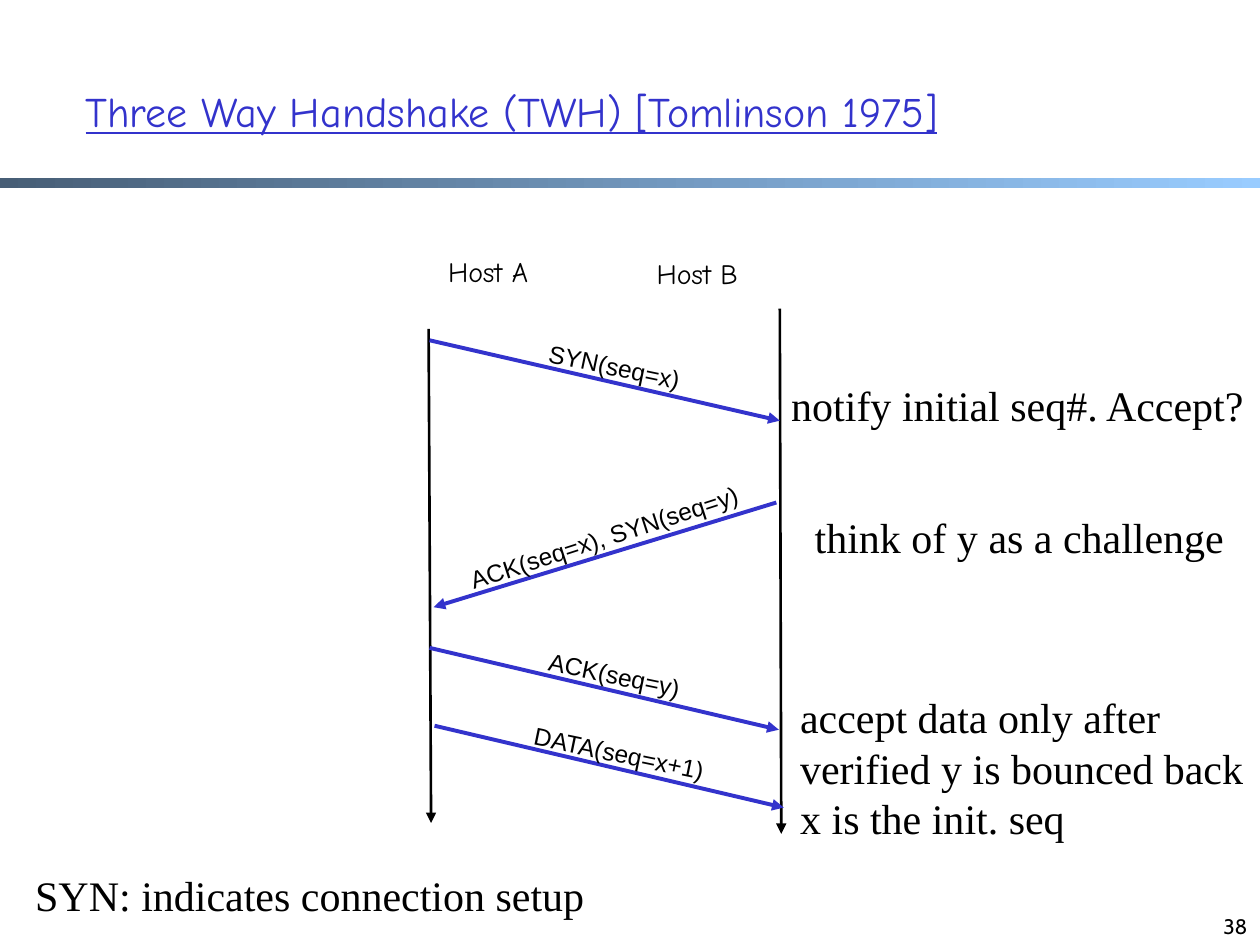
from lxml import etree
from pptx import Presentation
from pptx.dml.color import RGBColor
from pptx.enum import shapes, text
from pptx.oxml import ns
from pptx.util import Cm, Pt

COLORS = {"accent": "3333CC", "ink": "000000", "bar_start": "475E76", "bar_end": "99CCFF"}
SERIF, SANS, HAND = "Times New Roman", "Arial", "Comic Neue"
LEFT, CENTER, RIGHT = text.PP_ALIGN.LEFT, text.PP_ALIGN.CENTER, text.PP_ALIGN.RIGHT
TOP, MIDDLE, BOTTOM = text.MSO_ANCHOR.TOP, text.MSO_ANCHOR.MIDDLE, text.MSO_ANCHOR.BOTTOM

HOSTS = [
    ("Host A", (8.66, 5, 2.36, 0.94), (8.64, 6.63), (8.69, 16.59)),
    ("Host B", (12.9, 5.05, 2.31, 0.94), (15.72, 6.22), (15.75, 16.81)),
]
MESSAGES = [
    ("SYN(seq=x)", (8.66, 6.86), (15.72, 8.48), (10.8, 6.96, 3.18, 0.84), 11.8),
    ("ACK(seq=x), SYN(seq=y)", (15.65, 10.13), (8.74, 12.24), (8.38, 10.41, 7.59, 0.84), 342),
    ("ACK(seq=y)", (8.66, 13.06), (15.7, 14.71), (10.8, 13.18, 3.18, 0.84), 11.8),
    ("DATA(seq=x+1)", (8.76, 14.63), (15.8, 16.28), (10.46, 14.76, 4.04, 0.84), 11.8),
]
NOTES = [
    ("SYN: indicates connection setup", (0.46, 17.4, 11.58, 1.27), LEFT, False),
    ("accept data only after\nverified y is bounced back\nx is the init. seq",
     (15.88, 13.82, 9.53, 3.33), LEFT, False),
    ("notify initial seq#. Accept?", (15.7, 7.52, 9.7, 1.3), LEFT, False),
    ("think of y as a challenge", (15.7, 10.19, 9.7, 1.3), CENTER, True),
]


def color(name):
    """Return the named palette color."""
    return RGBColor.from_string(COLORS[name])


def place(shape, box):
    """Move and size a shape to a box in centimetres."""
    shape.left, shape.top, shape.width, shape.height = map(Cm, box)


def write(shape, words, *, font, size, ink="ink", align=LEFT, anchor=TOP, wrap=False, underline=None):
    """Fill a shape with formatted text, one paragraph per line."""
    frame = shape.text_frame
    frame.text = words
    frame.word_wrap = wrap
    frame.auto_size = text.MSO_AUTO_SIZE.NONE
    frame.vertical_anchor = anchor
    for paragraph in frame.paragraphs:
        paragraph.alignment = align
        for run in paragraph.runs:
            run.font.name = font
            run.font.size = Pt(size)
            run.font.underline = underline
            run.font.color.rgb = color(ink)


def add_label(parent, words, box, rotation=0, **style):
    """Add a text box with formatted text."""
    label = parent.add_textbox(*map(Cm, box))
    label.rotation = rotation
    write(label, words, **style)


def add_arrow(parent, start, end, ink, width):
    """Add a straight arrow pointing at its end."""
    arrow = parent.add_connector(shapes.MSO_CONNECTOR.STRAIGHT, *map(Cm, start + end))
    arrow.line.color.rgb = color(ink)
    arrow.line.width = Pt(width)
    etree.SubElement(arrow.line._get_or_add_ln(), ns.qn("a:tailEnd"), type="triangle")
    etree.SubElement(arrow._element.spPr, ns.qn("a:effectLst"))


def add_title_bar(slide):
    """Add the gradient bar under the title."""
    bar = slide.shapes.add_shape(shapes.MSO_SHAPE.RECTANGLE, *map(Cm, (0, 3.59, 25.4, 0.21)))
    bar.shadow.inherit = False
    bar.line.fill.background()
    bar.fill.gradient()
    bar.fill.gradient_angle = 0
    for stop, name, position in zip(bar.fill.gradient_stops, ("bar_start", "bar_end"), (0, 1)):
        stop.color.rgb = color(name)
        stop.position = position


def add_message(slide, words, start, end, box, rotation):
    """Add a message arrow grouped with its slanted label."""
    message = slide.shapes.add_group_shape().shapes
    add_arrow(message, start, end, "accent", 2.25)
    add_label(message, words, box, rotation, font=SANS, size=14, align=CENTER)


def main():
    """Build the handshake slide and save it."""
    deck = Presentation()
    deck.slide_width, deck.slide_height = Cm(25.4), Cm(19.05)
    slide = deck.slides.add_slide(deck.slide_layouts[5])
    add_title_bar(slide)
    title = slide.shapes.title
    place(title, (1.47, 0.64, 21.59, 3.18))
    write(title, "Three Way Handshake (TWH) [Tomlinson 1975]", font=HAND, size=24,
          ink="accent", anchor=MIDDLE, wrap=True, underline=True)
    for name, box, start, end in HOSTS:
        add_label(slide.shapes, name, box, font=HAND, size=16, align=CENTER)
        add_arrow(slide.shapes, start, end, "ink", 1.5)
    for message in MESSAGES:
        add_message(slide, *message)
    for words, box, align, wrap in NOTES:
        add_label(slide.shapes, words, box, font=SERIF, size=24, align=align, wrap=wrap)
    add_label(slide.shapes, "38", (19.48, 17.78, 5.92, 1.27), font="Cabin", size=12,
              align=RIGHT, anchor=BOTTOM, wrap=True)
    deck.save("out.pptx")


if __name__ == "__main__":
    main()
